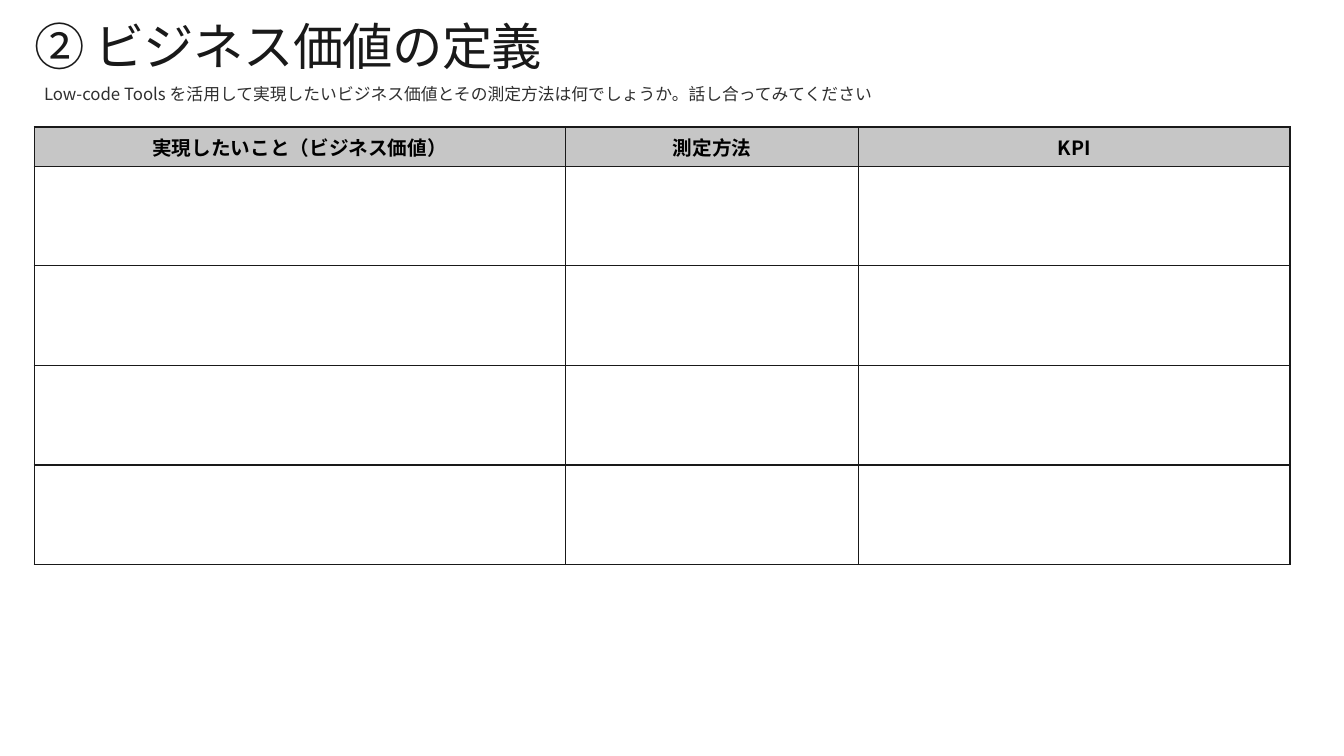
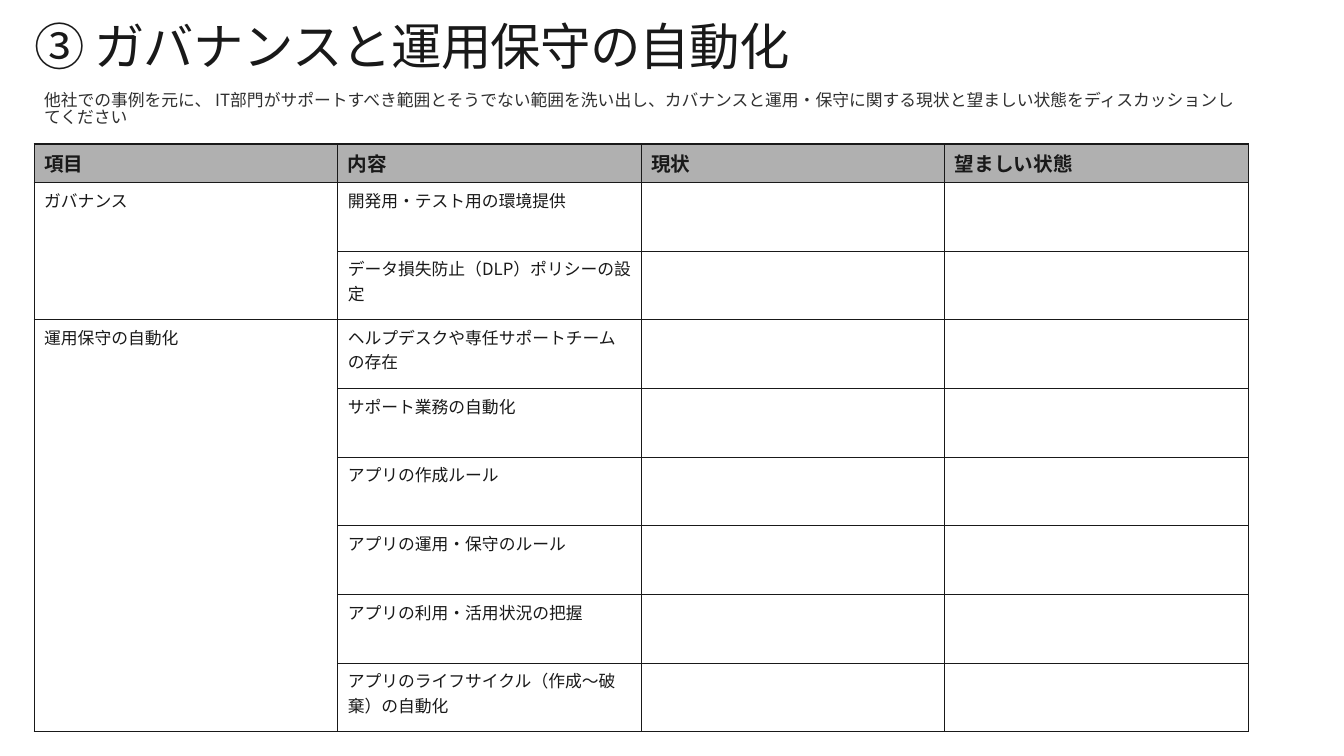
import dataclasses

import pptx
import pptx.dml.color
import pptx.enum.text
import pptx.oxml.ns
import pptx.util
from lxml import etree

Cm = pptx.util.Cm
Pt = pptx.util.Pt
Anchor = pptx.enum.text.MSO_ANCHOR
Align = pptx.enum.text.PP_ALIGN
qn = pptx.oxml.ns.qn


@dataclasses.dataclass(frozen=True)
class Theme:
    font: str = "Noto Sans CJK JP"
    ink: str = "191919"
    black: str = "000000"
    lead: str = "2F2F2F"
    light_head: str = "C6C6C6"
    dark_head: str = "B0B0B0"
    title_size: float = 36
    head_size: float = 14
    body_size: float = 12
    rule: float = 1
    left: float = 0.86


def rgb(color):
    return pptx.dml.color.RGBColor.from_string(color)


class Deck:
    def __init__(self, theme):
        self.theme = theme
        self.prs = pptx.Presentation()
        self.prs.slide_width = Cm(33.87)
        self.prs.slide_height = Cm(19.05)
        self.s = None

    def new_slide(self, title):
        self.s = self.prs.slides.add_slide(self.prs.slide_layouts[6])
        t = self.theme
        r = self.text_box(title, 0.56, 31.67, 1.55, 0, 0.9, t.title_size, t.ink)
        r.font._element.set("spc", "-50")

    def add_run(self, p, text, size, color, bold=False):
        r = p.add_run()
        r.text = text
        r.font.size = Pt(size)
        r.font.bold = bold
        r.font.color.rgb = rgb(color)
        r.font.name = self.theme.font
        ea = etree.SubElement(r.font._element, qn("a:ea"))
        ea.set("typeface", self.theme.font)
        return r

    def text_box(self, text, top, width, height, inset, spacing, size, color):
        sp = self.s.shapes.add_textbox(
            Cm(self.theme.left), Cm(top), Cm(width), Cm(height))
        tf = sp.text_frame
        tf.word_wrap = True
        tf.margin_left = tf.margin_right = Cm(inset)
        tf.margin_top = tf.margin_bottom = Cm(inset)
        p = tf.paragraphs[0]
        p.line_spacing = spacing
        return self.add_run(p, text, size, color)

    def lead(self, text, top, width, height):
        self.text_box(text, top, width, height, 0.25, 0.83,
                      self.theme.body_size, self.theme.lead)

    def borders(self, cell):
        tc_pr = cell._tc.get_or_add_tcPr()
        for side in ("lnL", "lnR", "lnT", "lnB"):
            ln = etree.SubElement(tc_pr, qn("a:" + side))
            ln.set("w", str(Pt(self.theme.rule)))
            fill = etree.SubElement(ln, qn("a:solidFill"))
            etree.SubElement(fill, qn("a:srgbClr")).set("val", self.theme.ink)

    def table(self, top, cols, rows, heads, head_fill, head_color, centered=False):
        frame = self.s.shapes.add_table(
            len(rows), len(cols), Cm(self.theme.left), Cm(top),
            Cm(sum(cols)), Cm(sum(rows)))
        tbl = frame.table
        tbl.first_row = tbl.horz_banding = False
        for col, width in zip(tbl.columns, cols):
            col.width = Cm(width)
        for row, height in zip(tbl.rows, rows):
            row.height = Cm(height)
        for cell in tbl.iter_cells():
            self.borders(cell)
            cell.fill.background()
        # Header row
        for col, head in enumerate(heads):
            cell = tbl.cell(0, col)
            cell.fill.solid()
            cell.fill.fore_color.rgb = rgb(head_fill)
            p = cell.text_frame.paragraphs[0]
            self.add_run(p, head, self.theme.head_size, head_color, bold=True)
            if centered:
                p.alignment = Align.CENTER
                cell.vertical_anchor = Anchor.MIDDLE
                cell.margin_left = cell.margin_right = Cm(0.13)
        return tbl

    def cell_text(self, cell, text):
        self.add_run(cell.text_frame.paragraphs[0], text,
                     self.theme.body_size, self.theme.ink)


def business_value(deck):
    deck.new_slide("② ビジネス価値の定義")
    deck.lead("Low-code Tools を活用して実現したいビジネス価値とその測定方法は"
              "何でしょうか。話し合ってみてください", 1.98, 31.42, 1.02)
    deck.table(3.2, [13.39, 7.39, 10.87], [0.99] + [2.51] * 4,
               ["実現したいこと（ビジネス価値）", "測定方法", "KPI"],
               deck.theme.light_head, deck.theme.black, centered=True)


def governance(deck):
    deck.new_slide("③ ガバナンスと運用保守の自動化")
    deck.lead("他社での事例を元に、 IT部門がサポートすべき範囲とそうでない範囲を洗い出し、"
              "カバナンスと運用・保守に関する現状と望ましい状態をディスカッションしてください",
              2.11, 30.58, 1.52)
    groups = {
        "ガバナンス": [
            "開発用・テスト用の環境提供",
            "データ損失防止（DLP）ポリシーの設定",
        ],
        "運用保守の自動化": [
            "ヘルプデスクや専任サポートチームの存在",
            "サポート業務の自動化",
            "アプリの作成ルール",
            "アプリの運用・保守のルール",
            "アプリの利用・活用状況の把握",
            "アプリのライフサイクル（作成～破棄）の自動化",
        ],
    }
    count = sum(len(items) for items in groups.values())
    tbl = deck.table(3.63, [7.65] * 4, [0.97] + [1.73] * count,
                     ["項目", "内容", "現状", "望ましい状態"],
                     deck.theme.dark_head, deck.theme.ink)
    # One merged cell per group, one row per item
    row = 1
    for group, items in groups.items():
        tbl.cell(row, 0).merge(tbl.cell(row + len(items) - 1, 0))
        deck.cell_text(tbl.cell(row, 0), group)
        for item in items:
            deck.cell_text(tbl.cell(row, 1), item)
            row += 1


def main():
    deck = Deck(Theme())
    business_value(deck)
    governance(deck)
    deck.prs.save("out.pptx")


if __name__ == "__main__":
    main()
